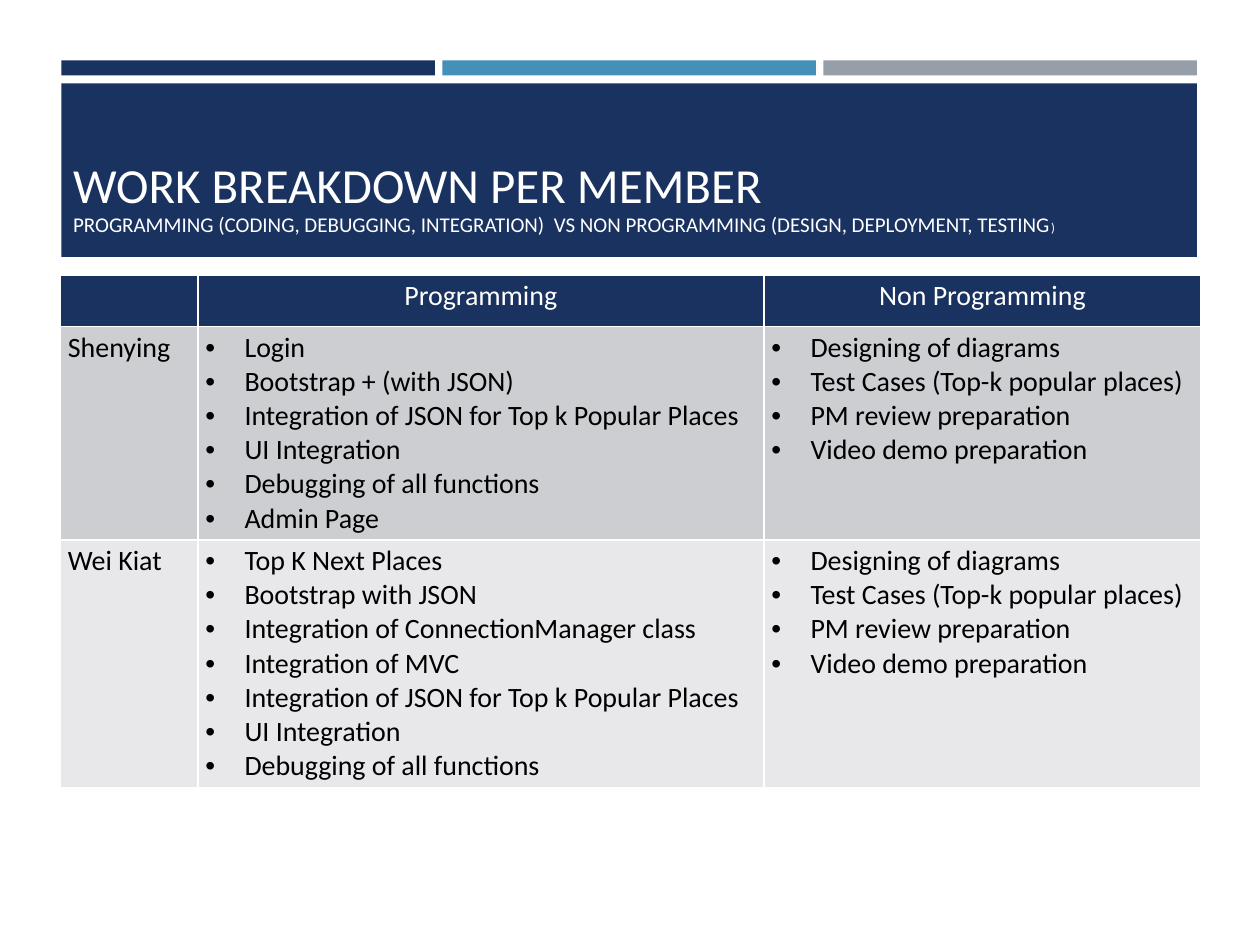
import pptx
import pptx.dml.color
import pptx.enum.shapes
import pptx.enum.text
import pptx.oxml
import pptx.oxml.ns
import pptx.util
import lxml.etree

Cm = pptx.util.Cm
COLORS = {
    "navy": "1A3260", "blue": "4590B8", "gray": "969FA7", "white": "FFFFFF",
    "black": "000000", "dark_row": "CDCED2", "light_row": "E8E8EA",
}
HEADINGS = ["", "Programming", "Non Programming"]
SHARED_TASKS = ["Designing of diagrams", "Test Cases (Top-k popular places)",
                "PM review preparation", "Video demo preparation"]
MEMBERS = [
    ("Shenying", ["Login", "Bootstrap + (with JSON)",
                  "Integration of JSON for Top k Popular Places",
                  "UI Integration", "Debugging of all functions", "Admin Page"]),
    ("Wei Kiat", ["Top K Next Places", "Bootstrap with JSON",
                  "Integration of ConnectionManager class", "Integration of MVC",
                  "Integration of JSON for Top k Popular Places",
                  "UI Integration", "Debugging of all functions"]),
]


def rgb(name):
    return pptx.dml.color.RGBColor.from_string(COLORS[name])


def write(paragraph, text, size=16, color="black", font="Calibri", align=None):
    if align is not None:
        paragraph.alignment = align
    run = paragraph.add_run()
    run.text = text
    run.font.name = font
    run.font.size = pptx.util.Pt(size)
    run.font.bold = False
    run.font.color.rgb = rgb(color)


class Deck:
    def __init__(self, slide):
        self.slide = slide

    def bar(self, left, top, width, height, color):
        bar = self.slide.shapes.add_shape(
            pptx.enum.shapes.MSO_SHAPE.RECTANGLE,
            Cm(left), Cm(top), Cm(width), Cm(height))
        bar.shadow.inherit = False
        bar.fill.solid()
        bar.fill.fore_color.rgb = rgb(color)
        bar.line.fill.background()

    def title(self, heading, scope, closing):
        title = self.slide.shapes.title
        title.element.getparent().append(title.element)
        title.left, title.top = Cm(1.22), Cm(1.9)
        title.width, title.height = Cm(22.7), Cm(3)
        frame = title.text_frame
        frame.word_wrap = True
        frame.auto_size = pptx.enum.text.MSO_AUTO_SIZE.NONE
        frame.vertical_anchor = pptx.enum.text.MSO_ANCHOR.BOTTOM
        line = frame.paragraphs[0]
        line.line_spacing = 0.9
        write(line, heading, size=28, color="white", align=pptx.enum.text.PP_ALIGN.LEFT)
        line.add_line_break()
        write(line, scope, size=12, color="white")
        write(line, closing, size=7.3, color="white")

    def table(self, left, top, widths, heights):
        table = self.slide.shapes.add_table(
            len(heights), len(widths), Cm(left), Cm(top),
            Cm(sum(widths)), Cm(sum(heights))).table
        for column, width in zip(table.columns, widths):
            column.width = Cm(width)
        for row, height in zip(table.rows, heights):
            row.height = Cm(height)
        return table

    def cell(self, cell, lines, fill, bullets=False, **style):
        cell.margin_left = cell.margin_right = Cm(0.15)
        cell.margin_top = cell.margin_bottom = Cm(0.08)
        for side in ("lnL", "lnR", "lnT", "lnB"):
            cell._tc.get_or_add_tcPr().append(pptx.oxml.parse_xml(
                f'<a:{side} {pptx.oxml.ns.nsdecls("a")} w="12700"><a:solidFill>'
                f'<a:srgbClr val="{COLORS["white"]}"/></a:solidFill></a:{side}>'))
        cell.fill.solid()
        cell.fill.fore_color.rgb = rgb(fill)
        for index, text in enumerate(lines):
            frame = cell.text_frame
            paragraph = frame.add_paragraph() if index else frame.paragraphs[0]
            if bullets:
                self.bullet(paragraph)
            write(paragraph, text, **style)

    def bullet(self, paragraph):
        properties = paragraph._p.get_or_add_pPr()
        properties.set("marL", str(Cm(0.79)))
        properties.set("indent", str(-Cm(0.79)))
        for tag, key, value in (("a:buFont", "typeface", "Arial"),
                                ("a:buChar", "char", "•")):
            lxml.etree.SubElement(properties, pptx.oxml.ns.qn(tag)).set(key, value)


def main():
    presentation = pptx.Presentation()
    presentation.slide_width, presentation.slide_height = Cm(25.4), Cm(19.05)
    deck = Deck(presentation.slides.add_slide(presentation.slide_layouts[5]))

    for index, color in enumerate(("navy", "blue", "gray")):
        deck.bar(1.24 + 7.68 * index, 1.22, 7.53, 0.3, color)
    deck.bar(1.24, 1.68, 22.89, 3.5, "navy")
    deck.title("WORK BREAKDOWN PER MEMBER",
               "PROGRAMMING (CODING, DEBUGGING, INTEGRATION)  VS "
               "NON PROGRAMMING (DESIGN, DEPLOYMENT, TESTING", ")")

    work = deck.table(1.22, 5.55, [2.77, 11.41, 8.81], [1.03, 4.29, 4.97])
    for column, heading in enumerate(HEADINGS):
        deck.cell(work.cell(0, column), [heading] if heading else [], "navy",
                  color="white", align=pptx.enum.text.PP_ALIGN.CENTER)
    for row, (member, programming) in enumerate(MEMBERS, 1):
        fill = "dark_row" if row % 2 else "light_row"
        deck.cell(work.cell(row, 0), [member], fill)
        deck.cell(work.cell(row, 1), programming, fill, bullets=True)
        deck.cell(work.cell(row, 2), SHARED_TASKS, fill, bullets=True)

    presentation.save("out.pptx")


if __name__ == "__main__":
    main()
